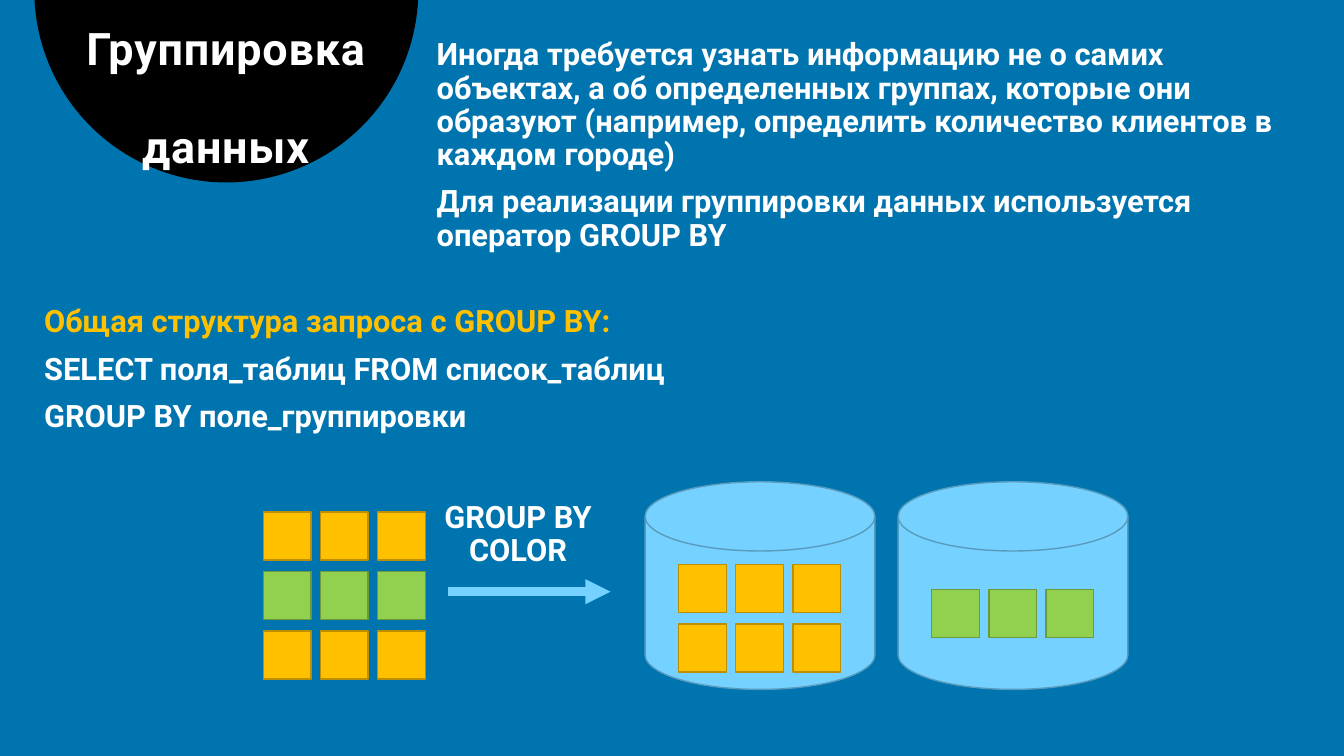
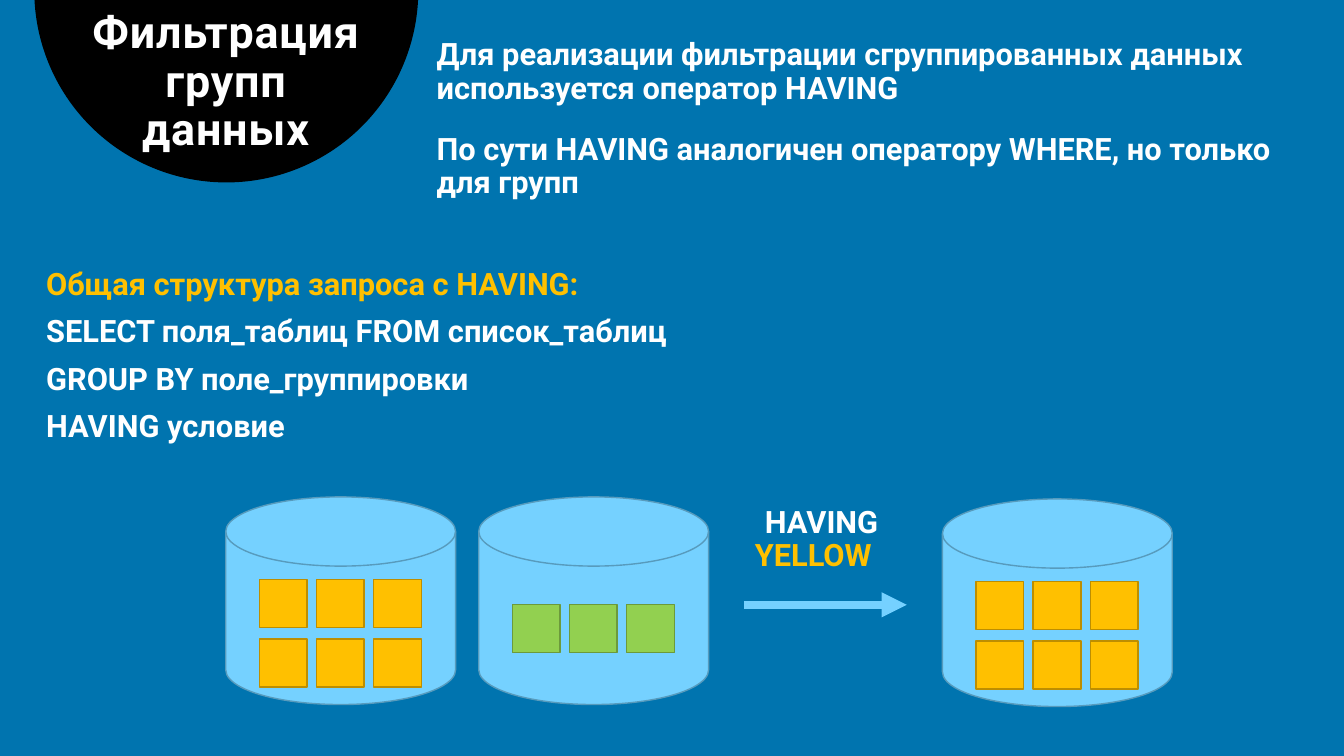
from lxml.etree import SubElement
from pptx import Presentation
from pptx.dml.color import RGBColor
from pptx.enum.shapes import MSO_CONNECTOR, MSO_SHAPE
from pptx.enum.text import PP_ALIGN
from pptx.oxml.ns import qn
from pptx.util import Inches, Pt

# Shared look: a grid of 40 columns by 30 rows
WIDE, HIGH = Inches(13.33), Inches(7.5)
COLS, ROWS = 40, 30
FONT = "Roboto"
HUES = {
    "back": "0074AF", "dark": "000000", "white": "FFFFFF", "sky": "75D1FF",
    "rim": "579BBD", "gold": "FFC000", "gold_rim": "BD8E00",
    "green": "92D050", "green_rim": "6C9A3B",
}
TILE = (1.42, 1.9)
STEP = (1.7, 2.36)
DISK = (6.84, 8.24)


def hue(name):
    return RGBColor.from_string(HUES[name])


def col(n):
    return round(WIDE * n / COLS)


def row(n):
    return round(HIGH * n / ROWS)


def place(x, y, w, h):
    return col(x), row(y), col(w), row(h)


def shape(shapes, kind, box, fill, rim=None):
    """Flat preset shape, with a thin rim if one is named."""
    item = shapes.add_shape(kind, *place(*box))
    item.shadow.inherit = False
    item.fill.solid()
    item.fill.fore_color.rgb = hue(fill)
    if rim:
        item.line.color.rgb = hue(rim)
        item.line.width = Pt(1)
    else:
        item.line.fill.background()


def text(slide, box, lines, size=22, gap=10, align=PP_ALIGN.LEFT, track=0):
    """Bold text box; each line is (words, hue, indent in columns)."""
    frame = slide.shapes.add_textbox(*place(*box)).text_frame
    frame.word_wrap = True
    for i, (words, tint, inset) in enumerate(lines):
        par = frame.add_paragraph() if i else frame.paragraphs[0]
        props = par._p.get_or_add_pPr()
        if inset:
            props.set("marL", str(col(inset)))
        par.text = words
        par.alignment = align
        par.line_spacing = 0.9
        par.space_before = Pt(gap if i else 0)
        font = par.font
        font.name, font.size, font.bold = FONT, Pt(size), True
        font.color.rgb = hue(tint)
        if track:
            props.find(qn("a:defRPr")).set("spc", str(track))


def white(*lines):
    return [(line, "white", 0) for line in lines]


def title(slide, y, lines, gap=0):
    text(slide, (2.1, y, 9.24, 5.92), white(*lines), 32, gap,
         PP_ALIGN.CENTER, track=60)


def query(slide, x, y, h, head, *code):
    text(slide, (x, y, 19.86, h), [(head, "gold", 0)] + white(*code))


def tiles(shapes, x, y, rows):
    """Three tiles in each row, one hue a row."""
    for r, tint in enumerate(rows):
        for c in range(3):
            box = (x + c * STEP[0], y + r * STEP[1], *TILE)
            shape(shapes, MSO_SHAPE.RECTANGLE, box, tint, tint + "_rim")


def disk(slide, x, y, rows):
    """Group of a drum and the tiles in it."""
    shapes = slide.shapes.add_group_shape().shapes
    shape(shapes, MSO_SHAPE.FLOWCHART_MAGNETIC_DISK, (x, y, *DISK),
          "sky", "rim")
    top = 3.28 if len(rows) == 2 else 4.28
    tiles(shapes, x + 1, y + top, rows)


def arrow(slide, x, y):
    link = slide.shapes.add_connector(
        MSO_CONNECTOR.STRAIGHT, col(x), row(y), col(x + 4.85), row(y))
    link.line.color.rgb = hue("sky")
    link.line.width = Pt(6)
    SubElement(link.line._get_or_add_ln(), qn("a:tailEnd"), type="triangle")
    SubElement(link._element.spPr, qn("a:effectLst"))


def page(deck):
    """Blank slide with the backdrop and the title disc."""
    slide = deck.slides.add_slide(deck.slide_layouts[6])
    slide.background.fill.solid()
    slide.background.fill.fore_color.rgb = hue("back")
    shape(slide.shapes, MSO_SHAPE.OVAL, (1.02, -8, 11.43, 15.24), "dark")
    return slide


def group_by(deck):
    slide = page(deck)
    title(slide, 0.88, ["Группировка", "данных"], gap=35)
    text(slide, (12.7, 1.36, 25.86, 8.96), white(
        "Иногда требуется узнать информацию не о самих объектах, а об "
        "определенных группах, которые они образуют (например, определить "
        "количество клиентов в каждом городе)",
        "Для реализации группировки данных используется оператор GROUP BY"))
    query(slide, 1.02, 11.96, 5.52, "Общая структура запроса с GROUP BY:",
          "SELECT поля_таблиц FROM список_таблиц",
          "GROUP BY поле_группировки")
    # Tiles sorted into drums
    tiles(slide.shapes, 7.84, 20.32, ["gold", "green", "gold"])
    arrow(slide, 13.32, 23.48)
    text(slide, (12.66, 19.72, 5.52, 3.08), white("GROUP BY", "COLOR"),
         gap=0, align=PP_ALIGN.CENTER)
    disk(slide, 19.2, 19.12, ["gold"] * 2)
    disk(slide, 26.73, 19.12, ["green"])


def having(deck):
    slide = page(deck)
    title(slide, 0.2, ["Фильтрация", "групп", "данных"])
    text(slide, (12.7, 1.36, 26.8, 3.08), white(
        "Для реализации фильтрации сгруппированных данных "
        "используется оператор HAVING"))
    text(slide, (12.7, 5.12, 26.2, 3.08), white(
        "По сути HAVING аналогичен оператору WHERE, но только для групп"))
    query(slide, 1.08, 10.48, 7.4, "Общая структура запроса с HAVING:",
          "SELECT поля_таблиц FROM список_таблиц",
          "GROUP BY поле_группировки", "HAVING условие")
    # Drums before and after the filter
    disk(slide, 6.72, 19.72, ["gold"] * 2)
    disk(slide, 14.25, 19.72, ["green"])
    arrow(slide, 22.14, 24)
    text(slide, (22.17, 19.92, 4.62, 3.08),
         [("HAVING", "white", 0.3), ("YELLOW", "gold", 0)], gap=0)
    disk(slide, 28.05, 19.8, ["gold"] * 2)


def main():
    deck = Presentation()
    deck.slide_width, deck.slide_height = WIDE, HIGH
    group_by(deck)
    having(deck)
    deck.save("out.pptx")


if __name__ == "__main__":
    main()
